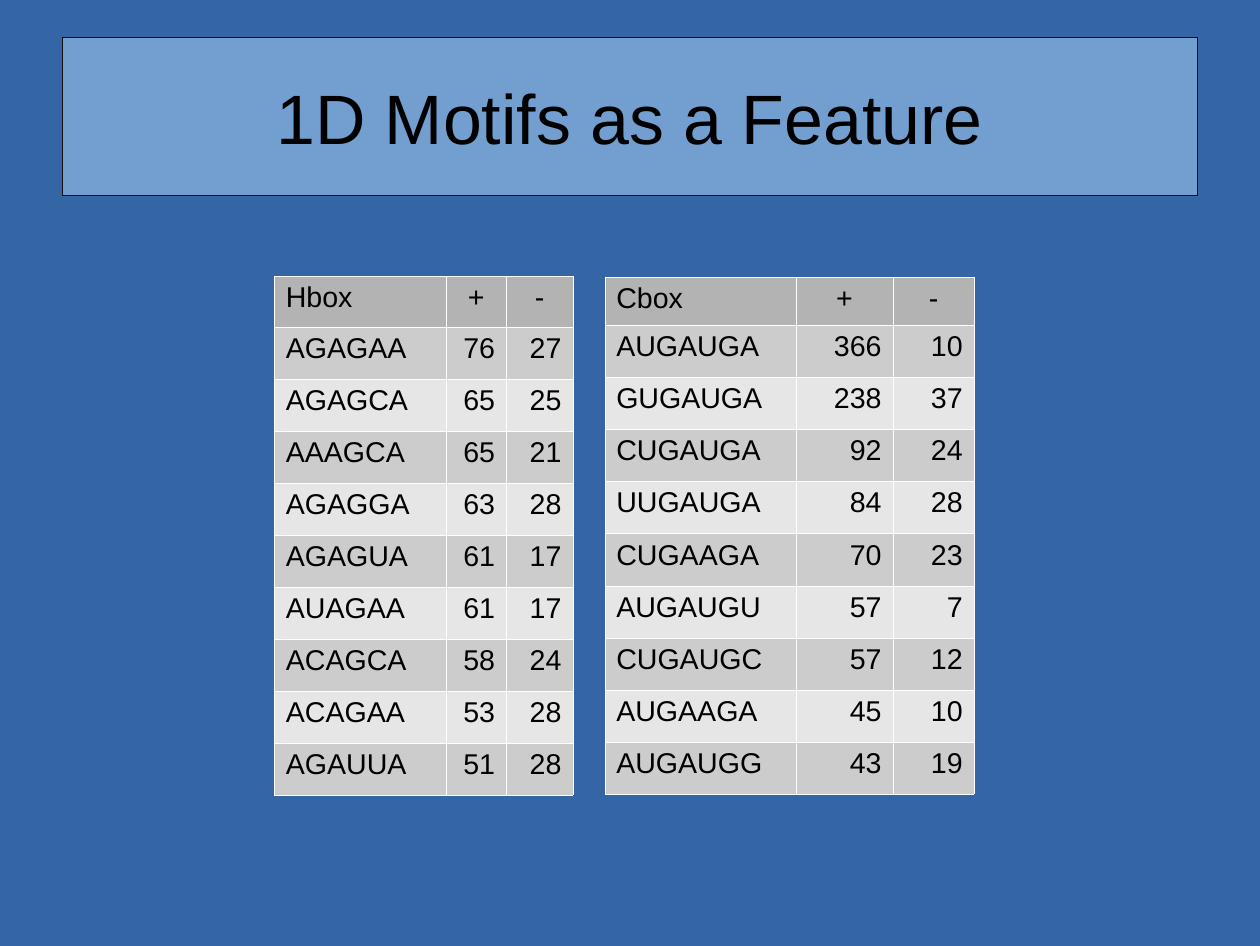
import pptx
import pptx.dml.color
import pptx.enum.text
import pptx.oxml
import pptx.oxml.ns
import pptx.util

Inches = pptx.util.Inches
RGBColor = pptx.dml.color.RGBColor
Align = pptx.enum.text.PP_ALIGN

BACKGROUND = RGBColor(0x34, 0x65, 0xA4)
TITLE_FILL = RGBColor(0x72, 0x9F, 0xCF)
TITLE_LINE = RGBColor(0x11, 0x11, 0x11)
TEXT = RGBColor(0x00, 0x00, 0x00)
HEADER_FILL = RGBColor(0xB3, 0xB3, 0xB3)
ODD_FILL = RGBColor(0xCC, 0xCC, 0xCC)
EVEN_FILL = RGBColor(0xE6, 0xE6, 0xE6)
BORDER = RGBColor(0xFF, 0xFF, 0xFF)

HBOX = [
    ("Hbox", "+", "-"),
    ("AGAGAA", 76, 27),
    ("AGAGCA", 65, 25),
    ("AAAGCA", 65, 21),
    ("AGAGGA", 63, 28),
    ("AGAGUA", 61, 17),
    ("AUAGAA", 61, 17),
    ("ACAGCA", 58, 24),
    ("ACAGAA", 53, 28),
    ("AGAUUA", 51, 28),
]
CBOX = [
    ("Cbox", "+", "-"),
    ("AUGAUGA", 366, 10),
    ("GUGAUGA", 238, 37),
    ("CUGAUGA", 92, 24),
    ("UUGAUGA", 84, 28),
    ("CUGAAGA", 70, 23),
    ("AUGAUGU", 57, 7),
    ("CUGAUGC", 57, 12),
    ("AUGAAGA", 45, 10),
    ("AUGAUGG", 43, 19),
]


def style_paragraph(para, size, align):
    """Set the font and alignment of a paragraph."""
    para.alignment = align
    para.font.name = "Arial"
    para.font.size = pptx.util.Pt(size)
    para.font.color.rgb = TEXT


def add_title(page, text, left, top, width, height):
    """Place the title in its filled, outlined box."""
    title = page.shapes.title
    title.left, title.top = Inches(left), Inches(top)
    title.width, title.height = Inches(width), Inches(height)
    title.fill.solid()
    title.fill.fore_color.rgb = TITLE_FILL
    title.line.color.rgb = TITLE_LINE
    title.line.width = pptx.util.Pt(0)
    frame = title.text_frame
    frame.text = text
    frame.word_wrap = True
    frame.auto_size = pptx.enum.text.MSO_AUTO_SIZE.NONE
    frame.vertical_anchor = pptx.enum.text.MSO_ANCHOR.MIDDLE
    frame.margin_left = frame.margin_right = 0
    frame.margin_top = frame.margin_bottom = 0
    style_paragraph(frame.paragraphs[0], 44, Align.CENTER)


def add_borders(cell):
    """Draw a hairline on each side of a cell."""
    properties = cell._tc.get_or_add_tcPr()
    for side in ("lnL", "lnR", "lnT", "lnB"):
        properties.append(pptx.oxml.parse_xml(
            f'<a:{side} {pptx.oxml.ns.nsdecls("a")} w="720"><a:solidFill>'
            f'<a:srgbClr val="{BORDER}"/></a:solidFill></a:{side}>'))


def add_cell(cell, value, row, column):
    """Fill one cell, choosing colour and alignment from its place."""
    add_borders(cell)
    cell.fill.solid()
    if row == 0:
        cell.fill.fore_color.rgb = HEADER_FILL
    else:
        cell.fill.fore_color.rgb = ODD_FILL if row % 2 else EVEN_FILL
    if column == 0:
        align = Align.LEFT
    else:
        align = Align.RIGHT if row else Align.CENTER
    cell.text = str(value)
    style_paragraph(cell.text_frame.paragraphs[0], 18, align)


def add_motif_table(page, motifs, left, top, widths, header_height, row_height):
    """Build a table of motif counts at the given corner."""
    height = header_height + row_height * (len(motifs) - 1)
    table = page.shapes.add_table(
        len(motifs), len(widths), Inches(left), Inches(top),
        Inches(sum(widths)), Inches(height)).table
    for column, width in enumerate(widths):
        table.columns[column].width = Inches(width)
    for row, values in enumerate(motifs):
        table.rows[row].height = Inches(row_height if row else header_height)
        for column, value in enumerate(values):
            add_cell(table.cell(row, column), value, row, column)


def main():
    """Build the slide and save the deck."""
    deck = pptx.Presentation()
    deck.slide_width, deck.slide_height = Inches(11.02), Inches(8.27)
    page = deck.slides.add_slide(deck.slide_layouts[5])
    page.background.fill.solid()
    page.background.fill.fore_color.rgb = BACKGROUND
    add_title(page, "1D Motifs as a Feature", 0.55, 0.33, 9.92, 1.38)
    add_motif_table(page, HBOX, 2.4, 2.41, (1.5, 0.53, 0.58), 0.45, 0.455)
    add_motif_table(page, CBOX, 5.29, 2.42, (1.67, 0.85, 0.71), 0.42, 0.456)
    deck.save("out.pptx")


if __name__ == "__main__":
    main()
